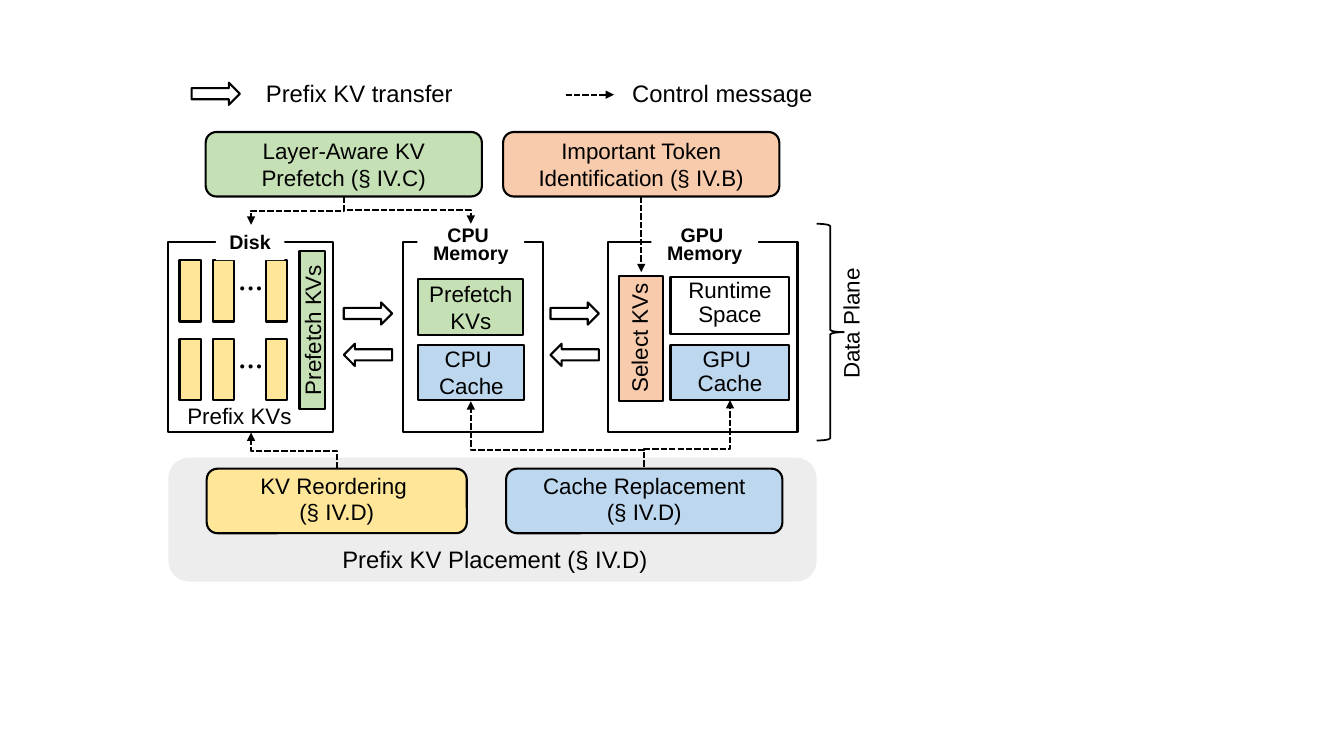
from lxml import etree
from pptx import Presentation
from pptx.dml.color import RGBColor
from pptx.enum.dml import MSO_LINE
from pptx.enum.shapes import MSO_CONNECTOR, MSO_SHAPE
from pptx.enum.text import MSO_ANCHOR, PP_ALIGN
from pptx.oxml.ns import qn
from pptx.util import Inches, Pt

RECTANGLE = MSO_SHAPE.RECTANGLE
ROUNDED = MSO_SHAPE.ROUNDED_RECTANGLE
RIGHT_ARROW, LEFT_ARROW = MSO_SHAPE.RIGHT_ARROW, MSO_SHAPE.LEFT_ARROW
RIGHT_BRACE = MSO_SHAPE.RIGHT_BRACE
STRAIGHT, ELBOW = MSO_CONNECTOR.STRAIGHT, MSO_CONNECTOR.ELBOW
DASH = MSO_LINE.SQUARE_DOT
CENTER, LEFT = PP_ALIGN.CENTER, PP_ALIGN.LEFT
MIDDLE, TOP = MSO_ANCHOR.MIDDLE, MSO_ANCHOR.TOP

COLORS = {
    "black": "000000", "white": "FFFFFF", "gray": "EDEDED", "green": "C5E0B4",
    "orange": "F8CBAD", "yellow": "FFE699", "blue": "BDD7EE",
}
LABEL = {"size": Pt(16), "name": "Arial", "bold": False}
CAPTION = {**LABEL, "size": Pt(17)}
HEADING = {**LABEL, "size": Pt(14), "bold": True}
ELLIPSIS = {"size": Pt(18), "name": "Noto Sans CJK SC", "bold": True}
TIGHT, TIGHTER = Pt(16.6), Pt(12.6)
ARROW_SIZE = (0.48, 0.22)


def color(name):
    return RGBColor.from_string(COLORS[name])


def write(shape, lines, font=LABEL, spacing=None, align=CENTER, anchor=TOP, wrap=True):
    frame = shape.text_frame
    frame.word_wrap = wrap
    frame.vertical_anchor = anchor
    for index, line in enumerate(lines):
        paragraph = frame.add_paragraph() if index else frame.paragraphs[0]
        paragraph.alignment = align
        if spacing:
            paragraph.line_spacing = spacing
        run = paragraph.add_run()
        run.text = line
        for attribute, value in font.items():
            setattr(run.font, attribute, value)
        run.font.color.rgb = color("black")


def add_box(slide, box, fill=None, lines=(), kind=RECTANGLE, outline=1.5, rotation=0, **text):
    shape = slide.shapes.add_shape(kind, *map(Inches, box))
    shape.shadow.inherit = False
    shape.rotation = rotation
    if fill:
        shape.fill.solid()
        shape.fill.fore_color.rgb = color(fill)
    else:
        shape.fill.background()
    if outline:
        shape.line.color.rgb = color("black")
        shape.line.width = Pt(outline)
    else:
        shape.line.fill.background()
    if lines:
        write(shape, lines, **{"anchor": MIDDLE, **text})
    return shape


def add_label(slide, box, lines, rotation=0, **text):
    label = slide.shapes.add_textbox(*map(Inches, box))
    label.rotation = rotation
    write(label, lines, **text)


def add_control(slide, start, end, kind=STRAIGHT):
    connector = slide.shapes.add_connector(kind, *map(Inches, (*start, *end)))
    properties = connector._element.spPr
    connector.line.color.rgb = color("black")
    connector.line.width = Pt(1.5)
    connector.line.dash_style = DASH
    etree.SubElement(properties.find(qn("a:ln")), qn("a:tailEnd"), type="triangle")
    etree.SubElement(properties, qn("a:effectLst"))
    return connector


def add_vertical_elbow(slide, start, end, bend=0.5):
    """Leave and arrive vertically: a horizontal elbow turned by 90 degrees."""
    (x1, y1), (x2, y2) = start, end
    middle_x, middle_y = (x1 + x2) / 2, (y1 + y2) / 2
    half_run, half_rise = (y2 - y1) / 2, (x1 - x2) / 2
    connector = add_control(
        slide, (middle_x - half_run, middle_y - half_rise),
        (middle_x + half_run, middle_y + half_rise), ELBOW)
    properties = connector._element.spPr
    properties.find(qn("a:xfrm")).set("rot", "5400000")
    adjustments = properties.find(qn("a:prstGeom")).find(qn("a:avLst"))
    etree.SubElement(adjustments, qn("a:gd"), name="adj1", fmla=f"val {round(bend * 100000)}")


def add_legend(slide, left, top):
    add_box(slide, (left + 0.02, top + 0.09, *ARROW_SIZE), kind=RIGHT_ARROW)
    add_label(slide, (left, top, 3.37, 0.42), ["Prefix KV transfer"], font=CAPTION)
    add_control(slide, (left + 3.73, top + 0.21), (left + 4.21, top + 0.21))
    add_label(slide, (left + 4.1, top, 2.37, 0.42), ["Control message"], font=CAPTION)


def add_disk(slide, left, top):
    add_box(slide, (left, top, 1.63, 1.89))
    # Two rows of stored blocks
    for row in range(2):
        block_top = top + 0.18 + row * 0.78
        for offset in (0.11, 0.44, 0.97):
            add_box(slide, (left + offset, block_top, 0.21, 0.61), "yellow")
        add_label(slide, (left + 0.6, block_top + 0.08, 0.43, 0.4), ["…"],
                  font=ELLIPSIS, align=LEFT)
    add_label(slide, (left + 0.08, top + 1.58, 1.25, 0.34), ["Prefix KVs"],
              spacing=TIGHT, wrap=False)
    add_box(slide, (left + 0.64, top + 0.75, 1.57, 0.25), "green", ["Prefetch KVs"], rotation=270)
    add_box(slide, (left + 0.47, top - 0.17, 0.68, 0.35), "white", ["Disk"], outline=0,
            font=HEADING, spacing=TIGHT, anchor=TOP, wrap=False)


def add_memory(slide, left, top, width, processor, heading_offset):
    add_box(slide, (left, top, width, 1.89))
    add_box(slide, (left + heading_offset, top - 0.18, 1.06, 0.5), "white",
            [f"{processor} ", "Memory"], outline=0,
            font=HEADING, spacing=TIGHTER, anchor=TOP, wrap=False)


def add_cpu_memory(slide, left, top):
    add_memory(slide, left, top, 1.39, "CPU", 0.14)
    add_box(slide, (left + 0.15, top + 0.37, 1.04, 0.55), "green", ["Prefetch KVs"])
    add_box(slide, (left + 0.15, top + 1.02, 1.05, 0.55), "blue", ["CPU ", "Cache"])


def add_gpu_memory(slide, left, top):
    add_memory(slide, left, top, 1.88, "GPU", 0.43)
    add_box(slide, (left - 0.29, top + 0.74, 1.24, 0.44), "orange", rotation=270)
    add_label(slide, (left - 0.32, top + 0.78, 1.3, 0.34), ["Select KVs"],
              rotation=270, spacing=TIGHT, wrap=False)
    add_box(slide, (left + 0.62, top + 0.35, 1.18, 0.56))
    add_label(slide, (left + 0.69, top + 0.33, 1.04, 0.58), ["Runtime", "Space"],
              spacing=TIGHT, wrap=False)
    add_box(slide, (left + 0.62, top + 1.02, 1.18, 0.55), "blue", ["GPU ", "Cache"],
            spacing=TIGHT)


def add_data_plane(slide, left, top):
    add_disk(slide, left, top)
    add_cpu_memory(slide, left + 2.33, top)
    add_gpu_memory(slide, left + 4.36, top)
    # Transfers both ways between neighbouring stores
    for gap in (1.74, 3.79):
        for offset, kind in ((0.6, RIGHT_ARROW), (1.01, LEFT_ARROW)):
            add_box(slide, (left + gap, top + offset, *ARROW_SIZE), kind=kind)
    add_box(slide, (left + 6.43, top - 0.18, 0.27, 2.15), kind=RIGHT_BRACE, outline=1.25)
    add_label(slide, (left + 6.1, top + 0.62, 1.42, 0.38), ["Data Plane"],
              rotation=270, spacing=TIGHT, wrap=False)


def add_placement(slide, left, top):
    add_box(slide, (left, top, 6.43, 1.23), "gray", kind=ROUNDED, outline=0)
    modules = ((0.38, 2.58, "yellow", "KV Reordering "),
               (3.35, 2.74, "blue", "Cache Replacement"))
    for offset, width, fill, name in modules:
        add_box(slide, (left + offset, top + 0.11, width, 0.64), fill, kind=ROUNDED)
        add_label(slide, (left + offset, top + 0.09, width, 0.69), [name, "(§ IV.D)"])
    add_label(slide, (left + 0.24, top + 0.81, 6, 0.42), ["Prefix KV Placement (§ IV.D)"],
              font=CAPTION)


def add_policies(slide, left, top):
    add_box(slide, (left, top, 2.74, 0.64), "green", ["Layer-Aware KV Prefetch (§ IV.C)"],
            kind=ROUNDED)
    token = add_box(slide, (left + 2.95, top, 2.74, 0.64), "orange",
                    ["Important Token Identification (§ IV.B)"], kind=ROUNDED)
    prefetch_bottom = (left + 1.37, top + 0.64)
    for target in ((left + 0.45, top + 0.92), (left + 2.63, top + 0.91)):
        add_vertical_elbow(slide, prefetch_bottom, target)
    selection = add_control(slide, (left + 4.32, top + 0.64), (left + 4.32, top + 1.39))
    selection.begin_connect(token, 2)


def add_placement_controls(slide):
    add_vertical_elbow(slide, (3.34, 4.65), (2.49, 4.29))
    for target in ((4.67, 3.98), (7.24, 3.97)):
        add_vertical_elbow(slide, (6.39, 4.63), target, bend=0.26)


def main():
    presentation = Presentation()
    presentation.slide_width, presentation.slide_height = Inches(13.33), Inches(7.5)
    slide = presentation.slides.add_slide(presentation.slide_layouts[6])
    add_legend(slide, 1.88, 0.73)
    add_placement(slide, 1.67, 4.54)
    add_data_plane(slide, 1.67, 2.4)
    add_policies(slide, 2.04, 1.31)
    add_placement_controls(slide)
    presentation.save("out.pptx")


if __name__ == "__main__":
    main()
